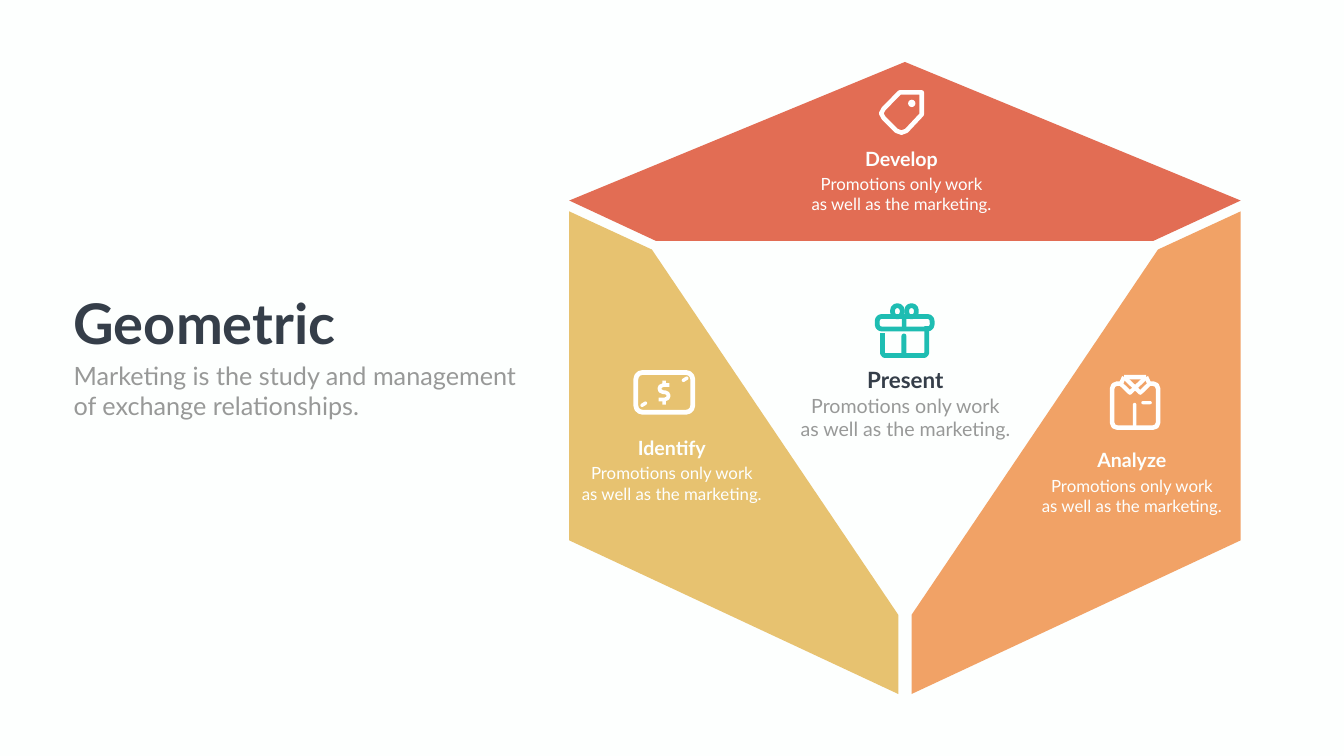
import pptx
import pptx.dml.color
import pptx.enum.shapes
import pptx.enum.text
import pptx.util

Pt = pptx.util.Pt
SHAPE = pptx.enum.shapes.MSO_SHAPE
ALIGN = pptx.enum.text.PP_ALIGN

COLOURS = {
    "paper": "FDFFFE", "white": "FFFFFF", "ink": "353E49", "grey": "989998",
    "red": "E26D54", "yellow": "E7C270", "orange": "F1A266", "teal": "1EBDB2",
}
RGB = {name: pptx.dml.color.RGBColor.from_string(value) for name, value in COLOURS.items()}


def paint(shape, fill=None, line=None, width=0):
    shape.shadow.inherit = False
    if fill:
        shape.fill.solid()
        shape.fill.fore_color.rgb = RGB[fill]
    else:
        shape.fill.background()
    if line:
        shape.line.color.rgb = RGB[line]
        shape.line.width = Pt(width)
    else:
        shape.line.fill.background()


def write_text(shape, box, lines, size, colour, bold, align):
    shape.left, shape.top, shape.width, shape.height = [Pt(length) for length in box]
    frame = shape.text_frame
    frame.word_wrap = True
    frame.auto_size = pptx.enum.text.MSO_AUTO_SIZE.NONE
    frame.vertical_anchor = pptx.enum.text.MSO_ANCHOR.TOP
    frame.text = "\n".join(lines)
    for paragraph in frame.paragraphs:
        paragraph.alignment = align
        for run in paragraph.runs:
            run.font.name = "Lato"
            run.font.size = Pt(size)
            run.font.bold = bold
            run.font.color.rgb = RGB[colour]


presentation = pptx.Presentation()
presentation.slide_width = Pt(1919.52)
presentation.slide_height = Pt(1080)
slide = presentation.slides.add_slide(presentation.slide_layouts[5])
slide.background.fill.solid()
slide.background.fill.fore_color.rgb = RGB["paper"]

# Title and subtitle
write_text(slide.shapes.title, (98, 409, 395.5, 104.5), ["Geometric"], 80, "ink", True, ALIGN.LEFT)
write_text(slide.shapes.add_textbox(0, 0, 0, 0), (98, 511, 701, 94.5),
           ["Marketing is the study and management", "of exchange relationships."],
           36, "grey", False, ALIGN.LEFT)

# Cube faces; the right face mirrors the left one
cube_center = 1292.4
left_face = [(813, 302), (813, 772), (1283, 991.5), (1283, 878.5), (931, 356.5)]
right_face = [(2 * cube_center - x, y) for x, y in left_face]
top_face = [(1772, 286.5), (cube_center, 88.5), (813, 286.5), (936.5, 344), (1647.5, 344)]

# Icon strokes
tag = [(1285, 132), (1316.5, 132), (1316.5, 163.5), (1294.5, 187), (1287.5, 189.5),
       (1280.5, 187), (1262, 168.5), (1258.5, 162), (1262, 155.5)]
dollar = [(956, 550), (947.5, 550), (943, 552), (941.8, 555), (943, 558.5), (947.5, 560.5),
          (950, 560.5), (953.5, 562), (955, 565.5), (953.5, 569), (949.5, 570.7), (940.5, 570.7)]
shirt_center = 1621.2
half_shirt = [(1641.6, 548), (1647, 548), (1652, 550), (1654, 555),
              (1654, 604), (1652, 609), (1647, 610.8)]
shirt = half_shirt + [(2 * shirt_center - x, y) for x, y in reversed(half_shirt)]
right_collar = [(1637, 538.5), (1641.6, 548.5), (1628.6, 561), (1615, 548), (1605.5, 538.5)]
left_collar = [(2 * shirt_center - x, y) for x, y in right_collar]
gift_box = [(1260.4, 476), (1260.4, 505), (1263, 508), (1320.5, 508), (1323.5, 505), (1323.5, 466)]

# points, closed, fill, line, line width
outlines = [
    (left_face, True, "yellow", None, 0),
    (right_face, True, "orange", None, 0),
    (top_face, True, "red", None, 0),
    (tag, True, None, "white", 6.5),
    (dollar, False, None, "white", 5.4),
    (shirt, False, None, "white", 6.5),
    (right_collar, False, None, "white", 6),
    (left_collar, False, None, "white", 6),
    (gift_box, False, None, "teal", 6.8),
]
for points, closed, fill, line, width in outlines:
    corners = [(Pt(x), Pt(y)) for x, y in points]
    builder = slide.shapes.build_freeform(*corners[0])
    builder.add_line_segments(corners[1:], close=closed)
    paint(builder.convert_to_shape(), fill, line, width)

# left, top, width, height, corner radius, rotation, fill, line
rounded_parts = [
    (1297, 142.5, 10.5, 10.5, 5.25, 0, "white", None),     # tag hole
    (908, 532, 81.5, 57, 10, 0, None, "white"),            # banknote
    (946, 543.6, 5, 7, 0, 0, "white", None),               # dollar bar ends
    (946, 571.7, 5, 6.5, 0, 0, "white", None),
    (973.2, 539.3, 10.5, 5, 2.5, -32, "white", None),      # banknote corner marks
    (914.2, 575, 10.5, 5, 2.5, -32, "white", None),
    (1605.5, 535.5, 31.5, 6.5, 0, 0, "white", None),       # shirt neck, pocket, placket
    (1630, 573, 15, 4.5, 2.25, 0, "white", None),
    (1618, 575.5, 5, 36, 2.5, 0, "white", None),
    (1252.8, 452, 78.5, 18, 6.5, 0, None, "teal"),         # gift lid
    (1274.8, 436.7, 13.7, 16, 6.5, 0, None, "teal"),       # bow loops
    (1295, 436.7, 13.7, 16, 6.5, 0, None, "teal"),
    (1288, 452, 6.5, 18, 0, 0, "teal", None),              # ribbon
    (1287.5, 476.5, 7, 31, 3.5, 0, "teal", None),
]
for left, top, width, height, radius, rotation, fill, line in rounded_parts:
    shape = slide.shapes.add_shape(SHAPE.ROUNDED_RECTANGLE, Pt(left), Pt(top), Pt(width), Pt(height))
    shape.adjustments[0] = radius / min(width, height)
    shape.rotation = rotation
    paint(shape, fill, line, 6.8)

# Captions: heading, center, heading top, body top, heading size, body size, colours
body_lines = ["Promotions only work", "as well as the marketing."]
captions = [
    ("Develop", 1287.5, 206, 244, 28, 24, "paper", "paper"),
    ("Analyze", 1616.5, 636.5, 675.5, 28, 24, "paper", "paper"),
    ("Identify", 959.5, 619.2, 658, 28, 24, "paper", "paper"),
    ("Present", 1293, 520, 558.7, 32, 28, "ink", "grey"),
]
for heading, center, heading_top, body_top, heading_size, body_size, heading_colour, body_colour in captions:
    write_text(slide.shapes.add_textbox(0, 0, 0, 0),
               (center - 95, heading_top, 190, heading_size * 1.2 + 7.2),
               [heading], heading_size, heading_colour, True, ALIGN.CENTER)
    write_text(slide.shapes.add_textbox(0, 0, 0, 0),
               (center - 168, body_top, 336, body_size * 2.4 + 7.2),
               body_lines, body_size, body_colour, False, ALIGN.CENTER)

presentation.save("out.pptx")
